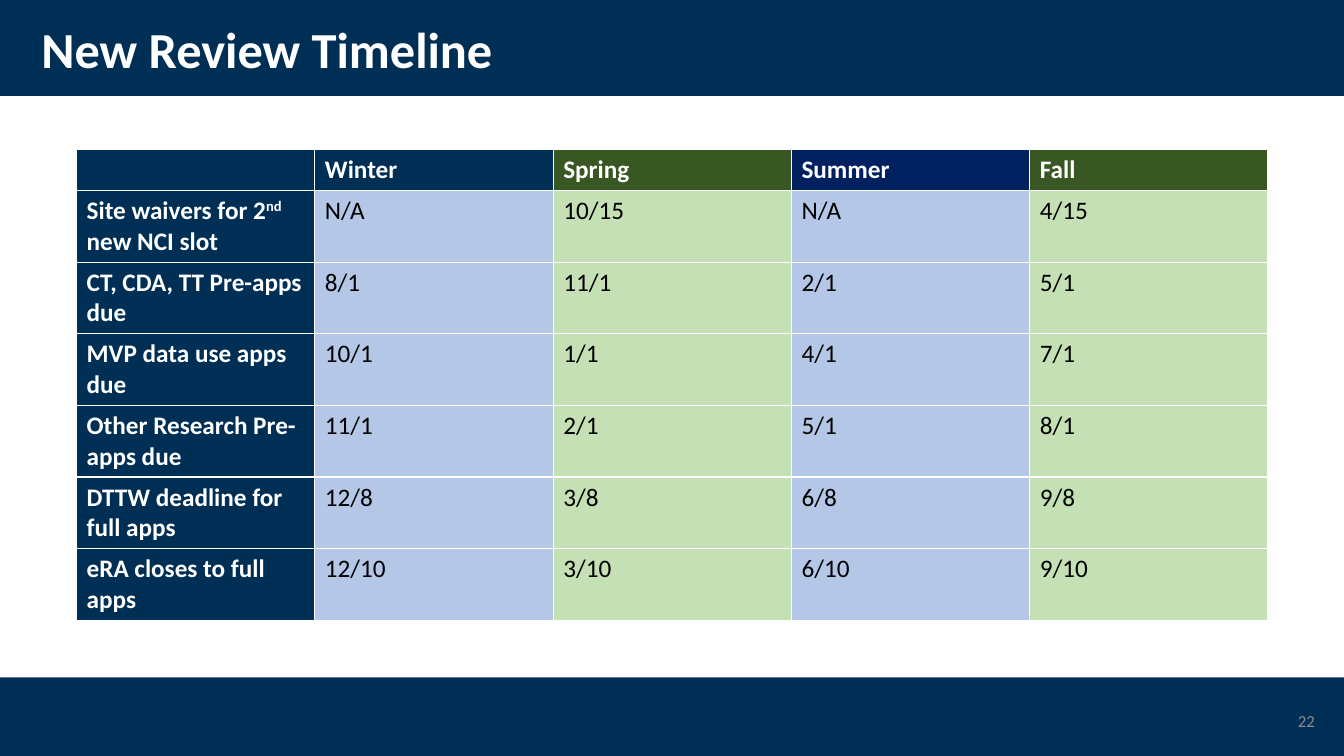
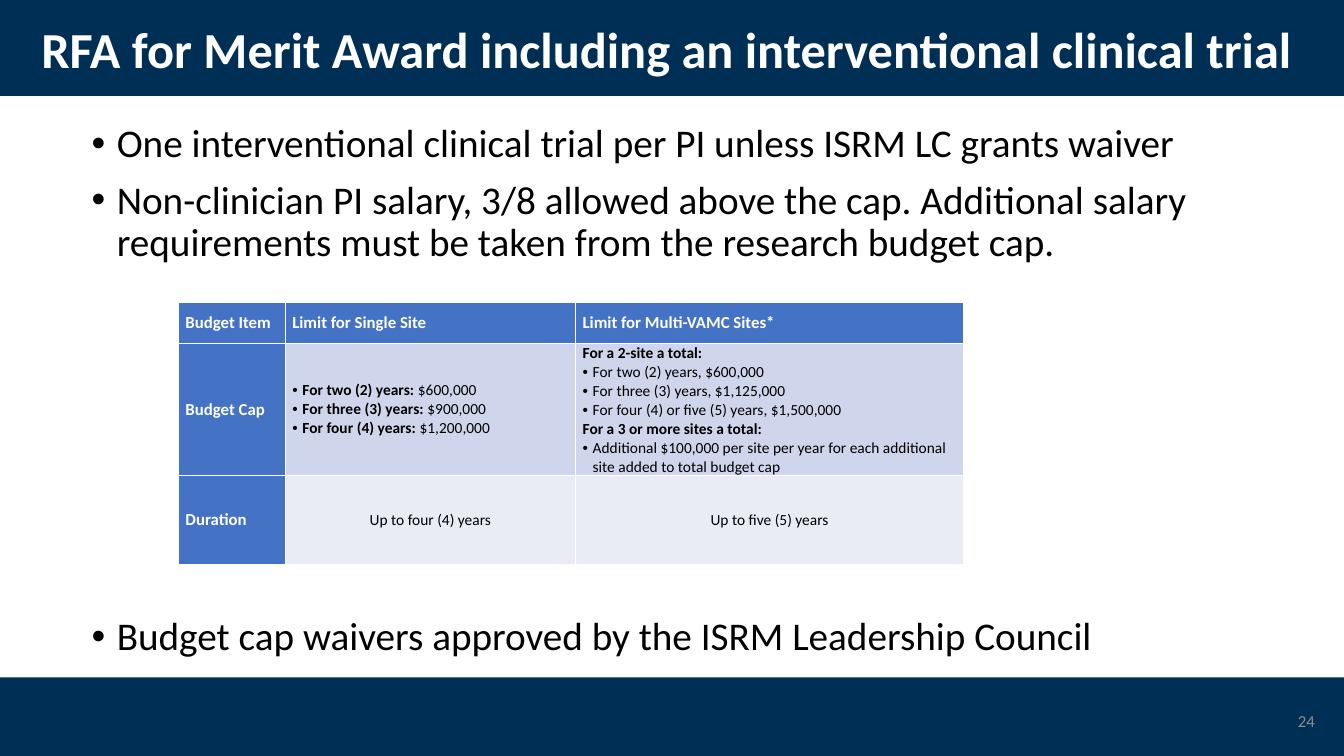
import pptx
import pptx.util
import pptx.dml.color
import pptx.enum.shapes
import pptx.enum.text
import pptx.oxml.ns
import lxml.etree

RGBColor = pptx.dml.color.RGBColor
ALIGN = pptx.enum.text.PP_ALIGN
ANCHOR = pptx.enum.text.MSO_ANCHOR

FONT = "Calibri"
NAVY = RGBColor(0x00, 0x2F, 0x56)
DEEP_BLUE = RGBColor(0x00, 0x20, 0x60)
DARK_GREEN = RGBColor(0x38, 0x57, 0x23)
PALE_BLUE = RGBColor(0xB4, 0xC7, 0xE7)
PALE_GREEN = RGBColor(0xC5, 0xE0, 0xB4)
BLUE = RGBColor(0x44, 0x72, 0xC4)
LAVENDER = RGBColor(0xCF, 0xD5, 0xEA)
PALE_LAVENDER = RGBColor(0xE9, 0xEB, 0xF5)
WHITE = RGBColor(0xFF, 0xFF, 0xFF)
BLACK = RGBColor(0x00, 0x00, 0x00)
GRAY = RGBColor(0x8C, 0x8C, 0x8C)

presentation = pptx.Presentation()
presentation.slide_width = pptx.util.Inches(13.33)
presentation.slide_height = pptx.util.Inches(7.5)

# All lengths are percentages of the slide's width and height
X = presentation.slide_width / 100
Y = presentation.slide_height / 100


def write(frame, paragraphs, size, color, align=ALIGN.LEFT, indent=0.25,
          spacing=None, before=0):
    """Each paragraph is (bulleted, runs); each run is (text, style)."""
    frame.word_wrap = True
    for number, (bulleted, runs) in enumerate(paragraphs):
        paragraph = frame.add_paragraph() if number else frame.paragraphs[0]
        paragraph.alignment = align
        if bulleted:
            properties = paragraph._p.get_or_add_pPr()
            hang = pptx.util.Inches(indent)
            properties.set("marL", str(hang))
            properties.set("indent", str(-hang))
            for tag, name, value in (("a:buFont", "typeface", "Arial"),
                                     ("a:buChar", "char", "•")):
                lxml.etree.SubElement(
                    properties, pptx.oxml.ns.qn(tag)).set(name, value)
        if spacing:
            paragraph.line_spacing = spacing
        if number:
            paragraph.space_before = pptx.util.Pt(before)
        for text, style in runs:
            run = paragraph.add_run()
            run.text = text
            run.font.name = FONT
            run.font.size = pptx.util.Pt(size)
            run.font.bold = "bold" in style
            run.font.color.rgb = color
            if "superscript" in style:
                run._r.get_or_add_rPr().set("baseline", "30000")


def add_table(slide, left, top, widths, heights):
    table = slide.shapes.add_table(
        len(heights), len(widths), int(left * X), int(top * Y),
        int(sum(widths) * X), int(sum(heights) * Y)).table
    table.first_col = True
    table.horz_banding = False
    for column, width in zip(table.columns, widths):
        column.width = int(width * X)
    for row, height in zip(table.rows, heights):
        row.height = int(height * Y)
    return table


# Slides with their titles and numbers
layout = presentation.slide_layouts[5]
slides = []
for title_text, title_width, number in (
        ("New Review Timeline", 88.6, "22"),
        ("RFA for Merit Award including an interventional clinical trial", 95.6, "24")):
    slide = presentation.slides.add_slide(layout)
    slides.append(slide)
    title = slide.shapes.title
    title.left, title.top = int(2.33 * X), int(2.4 * Y)
    title.width, title.height = int(title_width * X), int(9.07 * Y)
    title.text_frame.auto_size = pptx.enum.text.MSO_AUTO_SIZE.NONE
    title.text_frame.vertical_anchor = ANCHOR.MIDDLE
    write(title.text_frame, [(False, [(title_text, "bold")])], 36, WHITE, spacing=0.9)

    number_box = slide.shapes.add_textbox(
        int(76.07 * X), int(92.67 * Y), int(22.5 * X), int(5.33 * Y))
    number_box.text_frame.vertical_anchor = ANCHOR.MIDDLE
    write(number_box.text_frame, [(False, [(number, "")])], 12, GRAY, ALIGN.RIGHT)

timeline_slide, award_slide = slides

# Bands, moved onto the layout that both slides share
for top, height in ((0, 12.7), (89.6, 10.4)):
    band = timeline_slide.shapes.add_shape(
        pptx.enum.shapes.MSO_SHAPE.RECTANGLE,
        0, int(top * Y), presentation.slide_width, int(height * Y))
    band.shadow.inherit = False
    band.fill.solid()
    band.fill.fore_color.rgb = NAVY
    band.line.fill.background()
    layout.shapes.element.insert(2, band.element)

# Timeline table
timeline = (
    ([], "Winter", "Spring", "Summer", "Fall"),
    ([("Site waivers for 2", "bold"), ("nd", "bold superscript"), (" new NCI slot", "bold")],
     "N/A", "10/15", "N/A", "4/15"),
    ([("CT, CDA, TT Pre-apps due", "bold")], "8/1", "11/1", "2/1", "5/1"),
    ([("MVP data use apps due", "bold")], "10/1", "1/1", "4/1", "7/1"),
    ([("Other Research Pre-apps due", "bold")], "11/1", "2/1", "5/1", "8/1"),
    ([("DTTW deadline for full apps", "bold")], "12/8", "3/8", "6/8", "9/8"),
    ([("eRA closes to full apps", "bold")], "12/10", "3/10", "6/10", "9/10"),
)
header_fills = (NAVY, NAVY, DARK_GREEN, DEEP_BLUE, DARK_GREEN)
body_fills = (NAVY, PALE_BLUE, PALE_GREEN, PALE_BLUE, PALE_GREEN)
table = add_table(timeline_slide, 5.7, 19.75, [17.73] * 5, [5.45] + [9.48] * 6)
for row, entries in enumerate(timeline):
    for column, entry in enumerate(entries):
        heading = row == 0 or column == 0
        cell = table.cell(row, column)
        cell.fill.solid()
        cell.fill.fore_color.rgb = (body_fills if row else header_fills)[column]
        runs = entry if column == 0 else [(entry, "bold" if heading else "")]
        write(cell.text_frame, [(False, runs)], 18, WHITE if heading else BLACK)

# Award bullets above and below the budget table
for top, height, lines in (
        (15.73, 19.3, (
            "One interventional clinical trial per PI unless ISRM LC grants waiver",
            "Non-clinician PI salary, 3/8 allowed above the cap. Additional salary "
            "requirements must be taken from the research budget cap.")),
        (80.93, 7.3, ("Budget cap waivers approved by the ISRM Leadership Council",))):
    body = award_slide.shapes.add_textbox(
        int(6.08 * X), int(top * Y), int(92 * X), int(height * Y))
    write(body.text_frame, [(True, [(line, "")]) for line in lines], 28, BLACK,
          spacing=0.9, before=10)

# Budget table
budget = (
    ([(False, [("Budget Item", "bold")])],
     [(False, [("Limit for Single Site", "bold")])],
     [(False, [("Limit for Multi-VAMC Sites*", "bold")])]),
    ([(False, [("Budget Cap", "bold")])],
     [(True, [("For two (2) years: ", "bold"), ("$600,000", "")]),
      (True, [("For three (3) years: ", "bold"), ("$900,000", "")]),
      (True, [("For four (4) years: ", "bold"), ("$1,200,000", "")])],
     [(False, [("For a 2-site a total:", "bold")]),
      (True, [("For two (2) years, $600,000", "")]),
      (True, [("For three (3) years, $1,125,000", "")]),
      (True, [("For four (4) or five (5) years, $1,500,000", "")]),
      (False, [("For a 3 or more sites a total:", "bold")]),
      (True, [("Additional $100,000 per site per year for each additional "
               "site added to total budget cap", "")])]),
    ([(False, [("Duration", "bold")])],
     [(False, [("Up to four (4) years", "")])],
     [(False, [("Up to five (5) years", "")])]),
)
row_fills = (BLUE, LAVENDER, PALE_LAVENDER)
table = add_table(award_slide, 13.28, 40, [7.95, 21.6, 28.88], [5.47, 17.4, 11.87])
for row, entries in enumerate(budget):
    for column, paragraphs in enumerate(entries):
        heading = row == 0 or column == 0
        cell = table.cell(row, column)
        cell.fill.solid()
        cell.fill.fore_color.rgb = BLUE if heading else row_fills[row]
        cell.vertical_anchor = ANCHOR.MIDDLE
        cell.margin_left = cell.margin_right = pptx.util.Inches(0.07)
        cell.margin_top = cell.margin_bottom = 0
        centred = row == 2 and not heading
        write(cell.text_frame, paragraphs, 12 if heading else 11,
              WHITE if heading else BLACK,
              ALIGN.CENTER if centred else ALIGN.LEFT, indent=0.1)

presentation.save("out.pptx")
